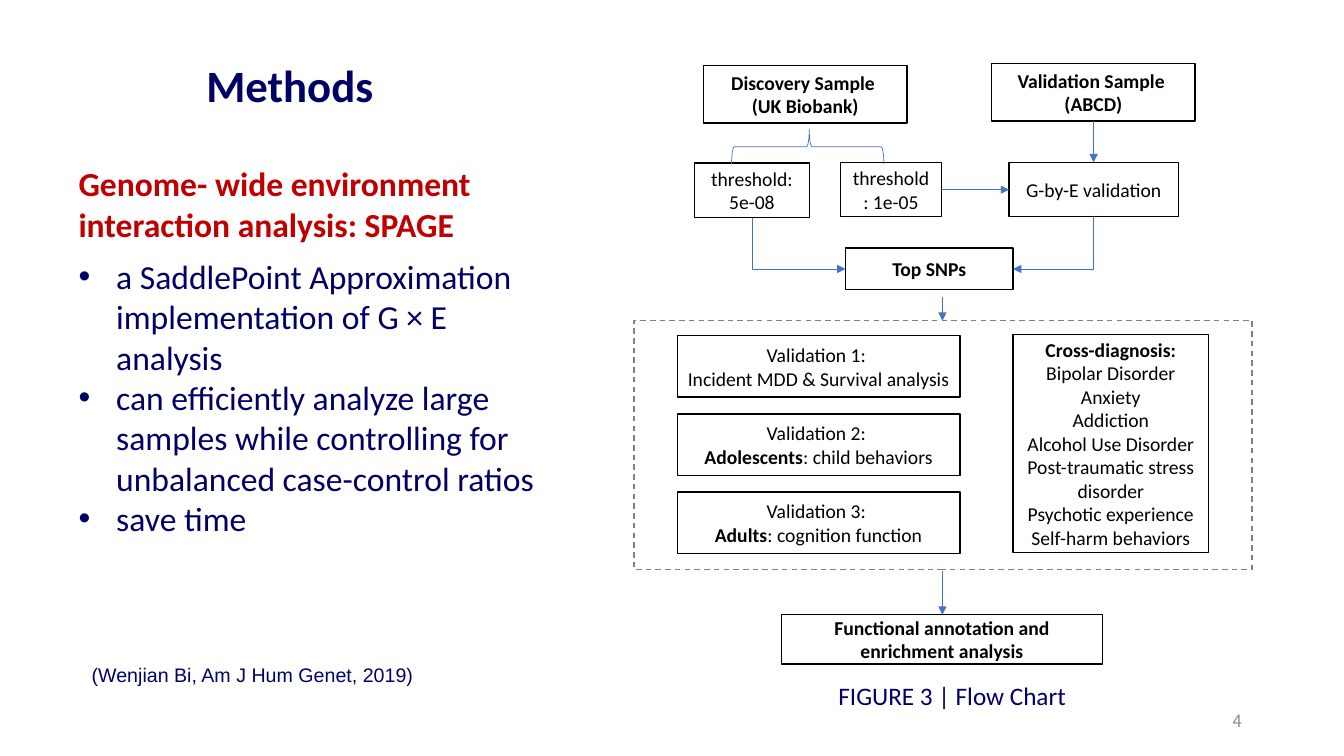
from lxml.etree import SubElement
from pptx import Presentation
from pptx.dml.color import RGBColor
from pptx.enum.dml import MSO_LINE
from pptx.enum.shapes import MSO_CONNECTOR, MSO_SHAPE
from pptx.enum.text import MSO_ANCHOR, PP_ALIGN
from pptx.oxml.ns import qn
from pptx.util import Cm, Pt

NAVY, RED, BLACK, GREY, BLUE = "000066", "C00000", "000000", "808080", "4472C4"


def set_line(shape, color, width):
    shape.line.color.rgb = RGBColor.from_string(color)
    shape.line.width = Pt(width)


def write(shape, paragraphs, size, color, font="Calibri", align=PP_ALIGN.LEFT):
    """Each paragraph is a list of (text, bold) runs."""
    frame = shape.text_frame
    frame.word_wrap = True
    for index, runs in enumerate(paragraphs):
        para = frame.add_paragraph() if index else frame.paragraphs[0]
        para.alignment = align
        for text, bold in runs:
            span = para.add_run()
            span.text = text
            span.font.name = font
            span.font.size = Pt(size)
            span.font.bold = bold
            span.font.color.rgb = RGBColor.from_string(color)


deck = Presentation()
deck.slide_width, deck.slide_height = Cm(33.87), Cm(19.05)
page = deck.slides.add_slide(deck.slide_layouts[6])
shapes = page.shapes

# Title
title = shapes.add_textbox(Cm(-7.06), Cm(1.12), Cm(28.73), Cm(1.73))
write(title, [[("Methods", True)]], 32, NAVY, align=PP_ALIGN.CENTER)
title.text_frame.paragraphs[0].line_spacing = 1.15

# Method description: heading and bullets
method = shapes.add_textbox(Cm(1.73), Cm(3.99), Cm(12.05), Cm(10.39))
write(method, [
    [("Genome- wide environment interaction analysis: SPAGE", True)],
    [("a SaddlePoint Approximation implementation of G × E analysis", False)],
    [("can efficiently analyze large samples while controlling for "
      "unbalanced case-control ratios", False)],
    [("save time", False)],
], 24, NAVY)
heading, *bullets = method.text_frame.paragraphs
heading.runs[0].font.color.rgb = RGBColor.from_string(RED)
bullets[0].space_before = Pt(8.5)
for para in bullets:
    properties = para._p.get_or_add_pPr()
    properties.set("marL", str(Cm(0.95)))
    properties.set("indent", str(Cm(-0.95)))
    SubElement(properties, qn("a:buFont")).set("typeface", "Arial")
    SubElement(properties, qn("a:buChar")).set("char", "•")

# Flow chart boxes: left, top, width, height, paragraphs
flow_boxes = [
    (17.73, 1.65, 5.13, 1.45, [[("Discovery Sample ", True)], [("(UK Biobank)", True)]]),
    (24.99, 1.6, 5.13, 1.45, [[("Validation Sample ", True)], [("(ABCD)", True)]]),
    (17.5, 4.11, 2.9, 1.37, [[("threshold: 5e-08", False)]]),
    (21.18, 4.09, 2.55, 1.37, [[("threshold: 1e-05", False)]]),
    (25.43, 4.09, 4.27, 1.37, [[("G-by-E validation", False)]]),
    (21.31, 6.25, 4.22, 1.04, [[("Top SNPs", True)]]),
    (19.69, 15.49, 8.1, 1.24, [[("Functional annotation and enrichment analysis", True)]]),
]

# Three validation boxes, evenly stacked
validations = [
    [("Incident MDD & Survival analysis", False)],
    [("Adolescents", True), (": child behaviors", False)],
    [("Adults", True), (": cognition function", False)],
]
for index, detail in enumerate(validations):
    label = [(f"Validation {index + 1}: ", False)]
    flow_boxes.append((17.07, 8.46 + 1.97 * index, 7.12, 1.55, [label, detail]))

# Cross-diagnosis box
diagnoses = ["Bipolar Disorder", "Anxiety", "Addiction", "Alcohol Use Disorder",
             "Post-traumatic stress disorder", "Psychotic experience",
             "Self-harm behaviors"]
flow_boxes.append((25.53, 8.43, 4.93, 5.49,
                   [[("Cross-diagnosis:", True)]] + [[(name, False)] for name in diagnoses]))

for left, top, width, height, paragraphs in flow_boxes:
    box = shapes.add_shape(MSO_SHAPE.RECTANGLE, Cm(left), Cm(top), Cm(width), Cm(height))
    box.shadow.inherit = False
    box.fill.background()
    set_line(box, BLACK, 1)
    box.text_frame.vertical_anchor = MSO_ANCHOR.MIDDLE
    write(box, paragraphs, 14, BLACK, align=PP_ALIGN.CENTER)

# Dashed frame around the validations
frame_box = shapes.add_shape(MSO_SHAPE.RECTANGLE, Cm(15.98), Cm(8.08), Cm(15.57), Cm(6.27))
frame_box.shadow.inherit = False
frame_box.fill.background()
set_line(frame_box, GREY, 1)
frame_box.line.dash_style = MSO_LINE.DASH

# Brace that splits the discovery sample into two thresholds
brace = shapes.add_shape(MSO_SHAPE.LEFT_BRACE, Cm(19.91), Cm(1.78), Cm(0.89), Cm(3.84))
brace.rotation = 90
brace.adjustments[0], brace.adjustments[1] = 0.08, 0.49
brace.shadow.inherit = False
brace.fill.background()
set_line(brace, BLUE, 0.5)

# Arrows: begin, end, bent; a bent one begins at its arrowhead
arrows = [
    (23.73, 4.78, 25.43, 4.78, False),
    (27.56, 3.05, 27.56, 4.09, False),
    (23.75, 7.49, 23.75, 8.08, False),
    (23.75, 14.38, 23.75, 15.49, False),
    (21.31, 6.78, 18.95, 5.49, True),
    (25.53, 6.78, 27.56, 5.46, True),
]
for x1, y1, x2, y2, bent in arrows:
    kind = MSO_CONNECTOR.ELBOW if bent else MSO_CONNECTOR.STRAIGHT
    arrow = shapes.add_connector(kind, Cm(x1), Cm(y1), Cm(x2), Cm(y2))
    set_line(arrow, BLUE, 0.5)
    properties = arrow._element.spPr
    if bent:
        properties.find(qn("a:prstGeom")).set("prst", "bentConnector2")
    tip = "a:headEnd" if bent else "a:tailEnd"
    SubElement(properties.find(qn("a:ln")), qn(tip)).set("type", "triangle")
    SubElement(properties, qn("a:effectLst"))

# Citation, caption and page number
citation = shapes.add_textbox(Cm(2.06), Cm(16.59), Cm(8.79), Cm(0.86))
write(citation, [[("(Wenjian Bi, Am J Hum Genet, 2019)", False)]], 14, NAVY, "Arial")
citation.text_frame.word_wrap = False

caption = shapes.add_textbox(Cm(20.88), Cm(17.02), Cm(7.62), Cm(1.02))
write(caption, [[("FIGURE 3 | Flow Chart", False)]], 18, NAVY)

number = shapes.add_textbox(Cm(23.93), Cm(17.65), Cm(7.62), Cm(1.02))
number.text_frame.vertical_anchor = MSO_ANCHOR.MIDDLE
write(number, [[("4", False)]], 12, "8C8C8C", "Noto Sans CJK SC", PP_ALIGN.RIGHT)

deck.save("out.pptx")
